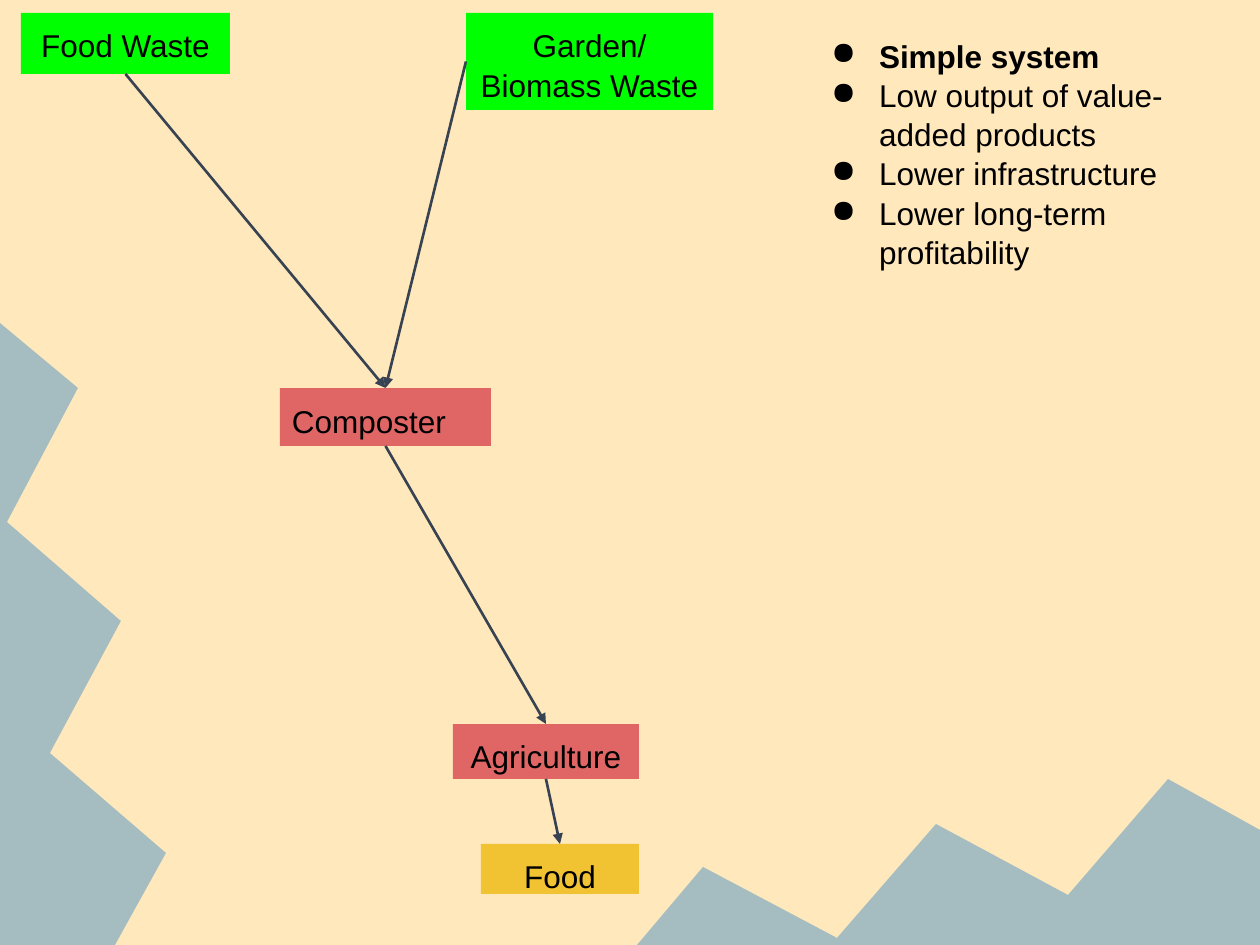
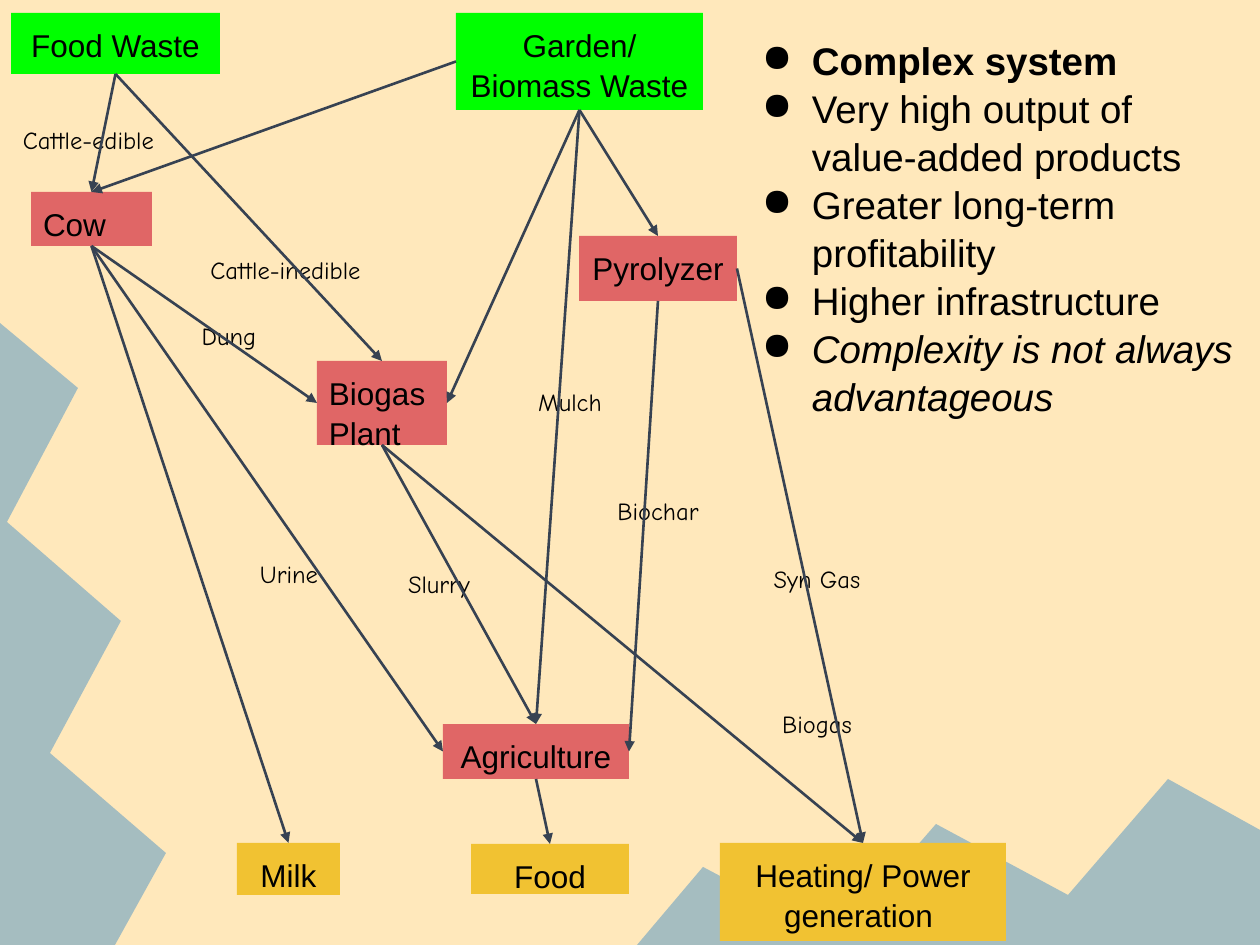
from enum import IntEnum
from typing import NamedTuple

from lxml.etree import SubElement
from pptx import Presentation
from pptx.dml.color import RGBColor
from pptx.enum.shapes import MSO_CONNECTOR as Connector
from pptx.enum.shapes import MSO_SHAPE as Preset
from pptx.enum.text import MSO_ANCHOR as Anchor
from pptx.enum.text import PP_ALIGN as Align
from pptx.oxml.ns import qn
from pptx.util import Emu, Pt

PX = 914400 / 126
WIDTH, HEIGHT = 1260, 945
INSET = 12

SAND = RGBColor(0xFF, 0xE8, 0xBB)
MOUNTAIN = RGBColor(0xA5, 0xBD, 0xC0)
INPUT = RGBColor(0x00, 0xFF, 0x00)
PROCESS = RGBColor(0xE0, 0x66, 0x66)
PRODUCT = RGBColor(0xF1, 0xC2, 0x32)
ARROW = RGBColor(0x37, 0x42, 0x52)
BLACK = RGBColor(0x00, 0x00, 0x00)

MAIN_FONT = "Arial"
LABEL_FONT = "Comic Neue"
LINE_SPACING = 1.04

LEFT_RIDGE = [(0, 323), (0, 945), (115, 945), (166, 853), (50, 753),
              (121, 621), (7, 522), (78, 388)]
BOTTOM_RIDGE = [(637, 945), (1260, 945), (1260, 830), (1168, 779), (1068, 895),
                (936, 824), (837, 938), (703, 867)]


class Side(IntEnum):
    TOP = 0
    LEFT = 1
    BOTTOM = 2
    RIGHT = 3


class Box(NamedTuple):
    left: int
    top: int
    width: int
    height: int


class Node(NamedTuple):
    text: str
    box: Box
    color: RGBColor
    align: Align = Align.CENTER


class Link(NamedTuple):
    source: str
    exit: Side
    target: str
    entry: Side


class Label(NamedTuple):
    text: str
    box: Box


class Point(NamedTuple):
    text: str
    bold: bool = False
    italic: bool = False


class Summary(NamedTuple):
    box: Box
    size: int
    hanging: int
    points: list[Point]


class Diagram(NamedTuple):
    nodes: list[Node]
    links: list[Link]
    labels: list[Label]
    summary: Summary


def px(value: int) -> Emu:
    return Emu(round(value * PX))


def place(box: Box) -> tuple[Emu, ...]:
    return tuple(px(value) for value in box)


def shared_nodes(shift: int) -> list[Node]:
    return [
        Node("Food Waste", Box(21 - shift, 13, 209, 61), INPUT),
        Node("Garden/ Biomass Waste", Box(466 - shift, 13, 247, 97), INPUT),
        Node("Agriculture", Box(453 - shift, 724, 186, 55), PROCESS),
        Node("Food", Box(481 - shift, 844, 158, 50), PRODUCT),
    ]


def prepare_frame(shape):
    frame = shape.text_frame
    frame.word_wrap = True
    frame.vertical_anchor = Anchor.TOP
    frame.margin_left = frame.margin_right = px(INSET)
    frame.margin_top = frame.margin_bottom = px(INSET)
    return frame


def style_paragraph(paragraph, name: str, size: int, align: Align) -> None:
    paragraph.alignment = align
    for run in paragraph.runs:
        run.font.name = name
        run.font.size = Pt(size)
        run.font.color.rgb = BLACK


def draw_ridge(slide, points: list[tuple[int, int]]) -> None:
    builder = slide.shapes.build_freeform(*points[0], scale=PX)
    builder.add_line_segments(points[1:], close=True)
    shape = builder.convert_to_shape()
    shape.shadow.inherit = False
    shape.fill.solid()
    shape.fill.fore_color.rgb = MOUNTAIN
    shape.line.fill.background()


def draw_node(slide, node: Node):
    shape = slide.shapes.add_shape(Preset.RECTANGLE, *place(node.box))
    shape.shadow.inherit = False
    shape.fill.solid()
    shape.fill.fore_color.rgb = node.color
    shape.line.fill.background()
    frame = prepare_frame(shape)
    frame.text = node.text
    paragraph = frame.paragraphs[0]
    style_paragraph(paragraph, MAIN_FONT, 18, node.align)
    paragraph.line_spacing = LINE_SPACING
    return shape


def draw_link(slide, link: Link, shapes: dict) -> None:
    connector = slide.shapes.add_connector(Connector.STRAIGHT, 0, 0, 0, 0)
    connector.begin_connect(shapes[link.source], link.exit)
    connector.end_connect(shapes[link.target], link.entry)
    connector.line.color.rgb = ARROW
    connector.line.width = Pt(1.5)
    SubElement(connector.line._get_or_add_ln(), qn("a:tailEnd"), type="triangle")
    SubElement(connector._element.spPr, qn("a:effectLst"))


def draw_label(slide, label: Label) -> None:
    frame = prepare_frame(slide.shapes.add_textbox(*place(label.box)))
    frame.text = label.text
    style_paragraph(frame.paragraphs[0], LABEL_FONT, 14, Align.CENTER)


def add_bullet(paragraph, hanging: int) -> None:
    properties = paragraph._p.get_or_add_pPr()
    properties.set("marL", str(px(63)))
    properties.set("indent", str(px(-hanging)))
    color = SubElement(properties, qn("a:buClr"))
    SubElement(color, qn("a:srgbClr"), val=str(BLACK))
    SubElement(properties, qn("a:buChar"), char="●")


def draw_summary(slide, summary: Summary) -> None:
    frame = prepare_frame(slide.shapes.add_textbox(*place(summary.box)))
    frame.text = "\n".join(point.text for point in summary.points)
    for paragraph, point in zip(frame.paragraphs, summary.points):
        add_bullet(paragraph, summary.hanging)
        style_paragraph(paragraph, MAIN_FONT, summary.size, Align.LEFT)
        paragraph.line_spacing = LINE_SPACING
        paragraph.runs[0].font.bold = point.bold
        paragraph.runs[0].font.italic = point.italic


def draw_diagram(presentation, diagram: Diagram) -> None:
    slide = presentation.slides.add_slide(presentation.slide_layouts[6])
    slide.background.fill.solid()
    slide.background.fill.fore_color.rgb = SAND
    for ridge in (LEFT_RIDGE, BOTTOM_RIDGE):
        draw_ridge(slide, ridge)
    for label in diagram.labels:
        draw_label(slide, label)
    shapes = {node.text: draw_node(slide, node) for node in diagram.nodes}
    for link in diagram.links:
        draw_link(slide, link, shapes)
    draw_summary(slide, diagram.summary)


GARDEN = "Garden/ Biomass Waste"
HEATING = "Heating/ Power generation "
HARVEST = Link("Agriculture", Side.BOTTOM, "Food", Side.TOP)

SIMPLE = Diagram(
    nodes=shared_nodes(0) + [
        Node("Composter", Box(280, 388, 211, 58), PROCESS, Align.LEFT),
    ],
    links=[
        Link("Food Waste", Side.BOTTOM, "Composter", Side.TOP),
        Link(GARDEN, Side.LEFT, "Composter", Side.TOP),
        Link("Composter", Side.BOTTOM, "Agriculture", Side.TOP),
        HARVEST,
    ],
    labels=[],
    summary=Summary(Box(804, 23, 437, 334), 18, 48, [
        Point("Simple system", bold=True),
        Point("Low output of value-added products"),
        Point("Lower infrastructure"),
        Point("Lower long-term profitability"),
    ]),
)

COMPLEX = Diagram(
    nodes=shared_nodes(10) + [
        Node("Cow", Box(31, 192, 121, 54), PROCESS, Align.LEFT),
        Node("Biogas Plant", Box(317, 361, 130, 84), PROCESS, Align.LEFT),
        Node("Pyrolyzer", Box(579, 236, 158, 65), PROCESS),
        Node("Milk", Box(237, 843, 103, 52), PRODUCT),
        Node(HEATING, Box(720, 843, 286, 98), PRODUCT),
    ],
    links=[
        Link("Food Waste", Side.BOTTOM, "Cow", Side.TOP),
        Link("Food Waste", Side.BOTTOM, "Biogas Plant", Side.TOP),
        Link(GARDEN, Side.LEFT, "Cow", Side.TOP),
        Link(GARDEN, Side.BOTTOM, "Biogas Plant", Side.RIGHT),
        Link(GARDEN, Side.BOTTOM, "Agriculture", Side.TOP),
        Link(GARDEN, Side.BOTTOM, "Pyrolyzer", Side.TOP),
        Link("Cow", Side.BOTTOM, "Biogas Plant", Side.LEFT),
        Link("Cow", Side.BOTTOM, "Agriculture", Side.LEFT),
        Link("Cow", Side.BOTTOM, "Milk", Side.TOP),
        Link("Biogas Plant", Side.BOTTOM, "Agriculture", Side.TOP),
        Link("Biogas Plant", Side.BOTTOM, HEATING, Side.TOP),
        Link("Pyrolyzer", Side.BOTTOM, "Agriculture", Side.RIGHT),
        Link("Pyrolyzer", Side.RIGHT, HEATING, Side.TOP),
        HARVEST,
    ],
    labels=[
        Label("Cattle-edible", Box(-10, 113, 197, 47)),
        Label("Cattle-inedible", Box(176, 243, 219, 52)),
        Label("Dung", Box(176, 309, 106, 52)),
        Label("Urine", Box(236, 547, 106, 66)),
        Label("Slurry", Box(374, 557, 130, 55)),
        Label("Mulch", Box(517, 375, 106, 55)),
        Label("Biochar", Box(593, 484, 130, 55)),
        Label("Syn Gas", Box(752, 552, 130, 55)),
        Label("Biogas", Box(752, 697, 130, 55)),
    ],
    summary=Summary(Box(737, 23, 518, 442), 22, 50, [
        Point("Complex system", bold=True),
        Point("Very high output of value-added products"),
        Point("Greater long-term profitability"),
        Point("Higher infrastructure"),
        Point("Complexity is not always advantageous", italic=True),
    ]),
)


def main() -> None:
    presentation = Presentation()
    presentation.slide_width = px(WIDTH)
    presentation.slide_height = px(HEIGHT)
    for diagram in (SIMPLE, COMPLEX):
        draw_diagram(presentation, diagram)
    presentation.save("out.pptx")


if __name__ == "__main__":
    main()
